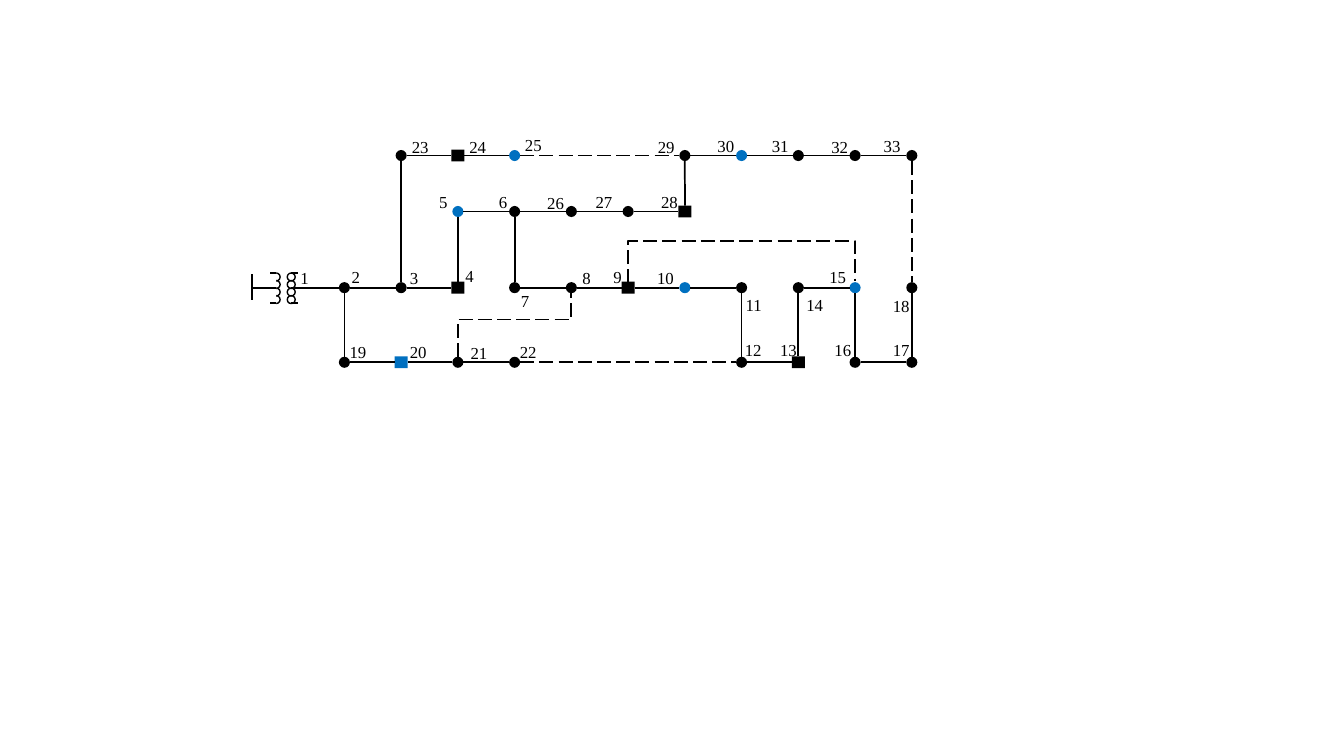
from dataclasses import dataclass
from itertools import pairwise

from lxml import etree
from pptx import Presentation
from pptx.dml.color import RGBColor
from pptx.enum.dml import MSO_LINE
from pptx.enum.shapes import MSO_CONNECTOR, MSO_SHAPE
from pptx.oxml.ns import qn
from pptx.util import Cm, Pt

OVAL, RECT = MSO_SHAPE.OVAL, MSO_SHAPE.RECTANGLE
LINE, ELBOW = MSO_CONNECTOR.STRAIGHT, MSO_CONNECTOR.ELBOW
DASH = MSO_LINE.LONG_DASH


@dataclass(frozen=True)
class Theme:
    ink: RGBColor = RGBColor(0, 0, 0)
    blue: RGBColor = RGBColor(0x00, 0x70, 0xC0)
    white: RGBColor = RGBColor(255, 255, 255)
    font: str = "Times New Roman"
    size: Pt = Pt(12)
    wire: Pt = Pt(1.25)
    coil: Pt = Pt(1)


THEME = Theme()

# Bus numbers by row height (cm) and column; 0 is an empty place
ROWS = {
    3.92: (0, 23, 24, 25, 0, 0, 29, 30, 31, 32, 33),
    5.33: (0, 0, 5, 6, 26, 27, 28),
    7.25: (2, 3, 4, 7, 8, 9, 10, 11, 14, 15, 18),
    9.13: (19, 20, 21, 22, 0, 0, 0, 12, 13, 16, 17),
}
LEFT, PITCH = 8.68, 1.43
BLUE = {5, 10, 15, 20, 25, 30}
SQUARE = {4, 9, 13, 20, 24, 28}
FEEDERS = [
    range(2, 19),
    (2, 19, 20, 21, 22),
    (3, 23, 24, 25),
    (6, *range(26, 34)),
]
TIES = [(25, 29), (33, 18), (22, 12)]
# Lower end bus and y, upper end bus and y, y of the middle run
BENT_TIES = [(21, 9.0, 8, 7.39, 8.05), (9, 7.14, 15, 7.09, 6.07)]

# Left and top of each number (cm)
LABELS = {
    1: (7.32, 6.63), 2: (8.61, 6.6), 3: (10.08, 6.63), 4: (11.48, 6.58),
    5: (10.82, 4.7), 6: (12.32, 4.7), 7: (12.88, 7.19), 8: (14.43, 6.63),
    9: (15.21, 6.6), 10: (16.31, 6.63), 11: (18.54, 7.29), 12: (18.52, 8.43),
    13: (19.41, 8.43), 14: (20.07, 7.29), 15: (20.65, 6.6), 16: (20.78, 8.43),
    17: (22.25, 8.43), 18: (22.25, 7.34), 19: (8.56, 8.48), 20: (10.08, 8.48),
    21: (11.61, 8.51), 22: (12.85, 8.48), 23: (10.13, 3.33), 24: (11.58, 3.33),
    25: (12.98, 3.28), 26: (13.54, 4.72), 27: (14.76, 4.7), 28: (16.41, 4.7),
    29: (16.33, 3.33), 30: (17.83, 3.3), 31: (19.2, 3.3), 32: (20.7, 3.33),
    33: (22.02, 3.3),
}
COILS = (7.34, 6.96)
COIL_TOP, COIL_STEP, RING = 6.88, 0.19, 0.2
DOT, BOX = (0.28, 0.28), (0.33, 0.3)
SIDES = {(0, -1): 0, (-1, 0): 1, (0, 1): 2, (1, 0): 3}

PLACES = {bus: (LEFT + col * PITCH, y)
          for y, row in ROWS.items() for col, bus in enumerate(row) if bus}


def add_shape(slide, kind, x, y, w, h, fill=None, line=None):
    shape = slide.shapes.add_shape(kind, Cm(x), Cm(y), Cm(w), Cm(h))
    shape.shadow.inherit = False
    if fill is None:
        shape.fill.background()
    else:
        shape.fill.solid()
        shape.fill.fore_color.rgb = fill
    if line is None:
        shape.line.fill.background()
    else:
        shape.line.color.rgb = THEME.ink
        shape.line.width = line
    return shape


def add_wire(slide, start, end, kind=LINE, width=THEME.wire, dash=None):
    wire = slide.shapes.add_connector(kind, *map(Cm, (*start, *end)))
    wire.line.color.rgb = THEME.ink
    wire.line.width = width
    if dash:
        wire.line.dash_style = dash
    etree.SubElement(wire._element.spPr, qn("a:effectLst"))
    return wire


def add_label(slide, bus, x, y):
    box = slide.shapes.add_textbox(
        Cm(x), Cm(y), Cm(0.95 if bus > 9 else 0.72), Cm(0.76))
    box.text_frame.word_wrap = False
    para = box.text_frame.paragraphs[0]
    para.text = str(bus)
    para.font.name = THEME.font
    para.font.size = THEME.size
    para.font.color.rgb = THEME.ink


def add_node(slide, bus):
    x, y = PLACES[bus]
    kind, (w, h) = (RECT, BOX) if bus in SQUARE else (OVAL, DOT)
    color = THEME.blue if bus in BLUE else THEME.ink
    return add_shape(slide, kind, x - w / 2, y - h / 2, w, h, color)


def sign(value):
    return (value > 0) - (value < 0)


def add_link(slide, nodes, first, last, dash=None):
    """Join two buses edge to edge, glued where the end is a square."""
    (x1, y1), (x2, y2) = PLACES[first], PLACES[last]
    dx, dy = sign(x2 - x1), sign(y2 - y1)
    gap = DOT[0] / 2
    wire = add_wire(slide, (x1 + dx * gap, y1 + dy * gap),
                    (x2 - dx * gap, y2 - dy * gap), dash=dash)
    if first in SQUARE:
        wire.begin_connect(nodes[first], SIDES[dx, dy])
    if last in SQUARE:
        wire.end_connect(nodes[last], SIDES[-dx, -dy])


def add_bent(slide, low, y1, high, y2, mid):
    """Draw an elbow that leaves both ends vertically: a quarter turn."""
    x1, x2 = PLACES[low][0], PLACES[high][0]
    w, h = y1 - y2, x2 - x1
    x, y = (x1 + x2 - w) / 2, (y1 + y2 - h) / 2
    wire = add_wire(slide, (x, y), (x + w, y + h), ELBOW, dash=DASH)
    props = wire._element.spPr
    frame = props.find(qn("a:xfrm"))
    for key, value in (("rot", "5400000"), ("flipH", "1"), ("flipV", "1")):
        frame.set(key, value)
    guide = etree.SubElement(props.find(qn("a:prstGeom")).find(qn("a:avLst")),
                             qn("a:gd"))
    guide.set("name", "adj1")
    guide.set("fmla", f"val {round((y1 - mid) / w * 100000)}")


def add_source(slide):
    """Draw the supply bar and the two transformer windings."""
    right, left = COILS
    for x in COILS:
        for turn in range(4):
            add_shape(slide, OVAL, x - RING / 2, COIL_TOP + turn * COIL_STEP,
                      RING, RING, line=THEME.coil)
    add_shape(slide, RECT, left - 0.2, COIL_TOP - 0.05, 0.2, 0.86, THEME.white)
    for y in (COIL_TOP, COIL_TOP + 4 * COIL_STEP):
        for x, tip in ((right, right + 0.18), (left, left - 0.15)):
            add_wire(slide, (x, y), (tip, y), width=THEME.coil)
    axis = PLACES[2][1]
    add_wire(slide, (6.35, 6.91), (6.35, 7.57))
    add_wire(slide, (6.38, axis), (left, axis))
    add_wire(slide, (right, axis), (LEFT - DOT[0] / 2, axis))


def main():
    deck = Presentation()
    deck.slide_width, deck.slide_height = Cm(33.87), Cm(19.05)
    slide = deck.slides.add_slide(deck.slide_layouts[6])
    add_source(slide)
    for bus, (x, y) in LABELS.items():
        add_label(slide, bus, x, y)
    nodes = {bus: add_node(slide, bus) for bus in PLACES}
    for chain in FEEDERS:
        for first, last in pairwise(chain):
            add_link(slide, nodes, first, last)
    for first, last in TIES:
        add_link(slide, nodes, first, last, DASH)
    for tie in BENT_TIES:
        add_bent(slide, *tie)
    deck.save("out.pptx")


if __name__ == "__main__":
    main()
